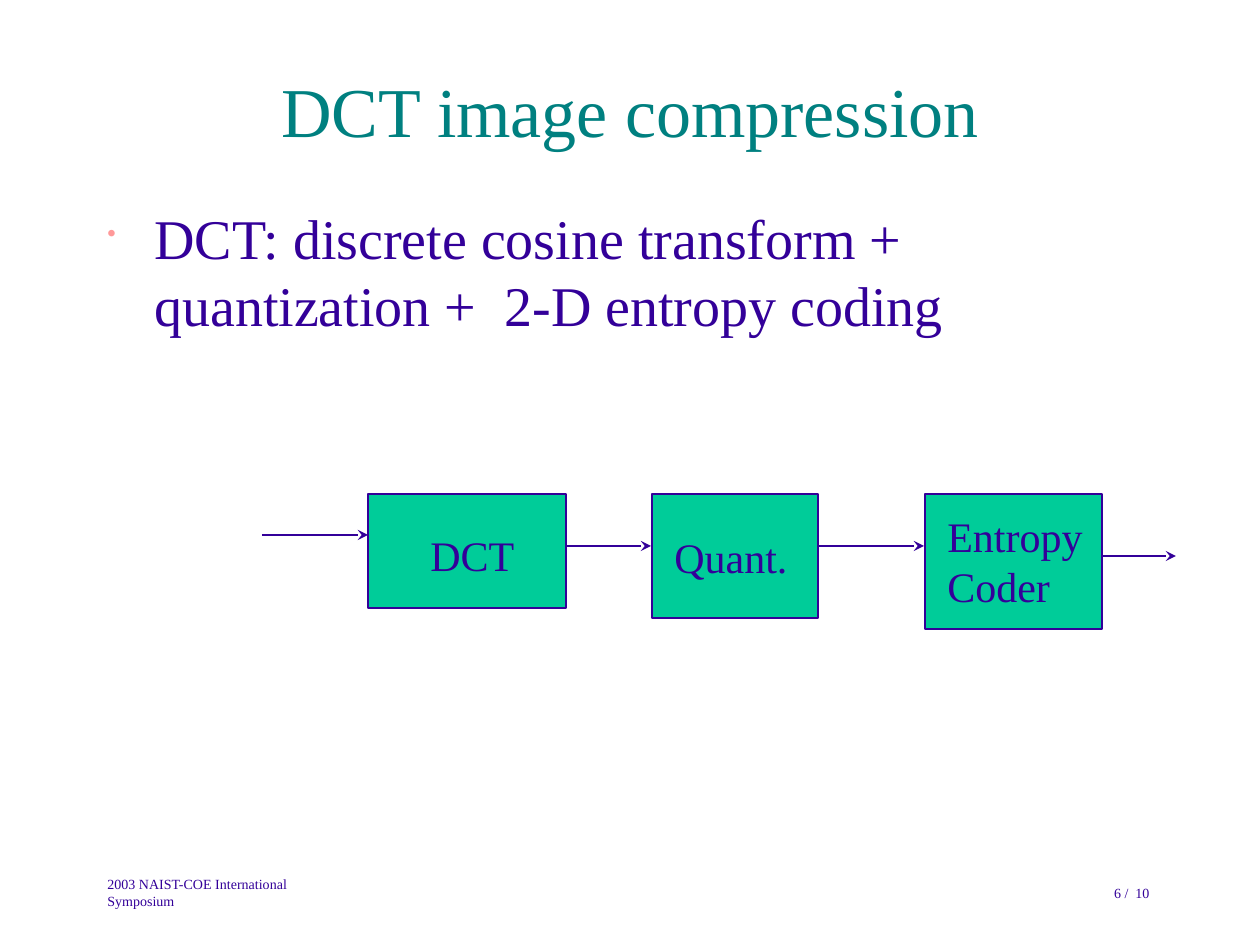
from lxml import etree
from pptx import Presentation
from pptx.dml.color import RGBColor
from pptx.enum.shapes import MSO_CONNECTOR, MSO_SHAPE
from pptx.enum.text import MSO_ANCHOR, PP_ALIGN
from pptx.oxml.ns import qn
from pptx.util import Emu, Pt

EMU_PER_PX = 914400 / 126
RECTANGLE = MSO_SHAPE.RECTANGLE
STRAIGHT = MSO_CONNECTOR.STRAIGHT
TOP, MIDDLE, BOTTOM = MSO_ANCHOR.TOP, MSO_ANCHOR.MIDDLE, MSO_ANCHOR.BOTTOM
LEFT, CENTER, RIGHT = PP_ALIGN.LEFT, PP_ALIGN.CENTER, PP_ALIGN.RIGHT
INDIGO, TEAL, GREEN, PINK = "330099", "008080", "00CC99", "FF9999"


def px(*lengths):
    return [Emu(round(length * EMU_PER_PX)) for length in lengths]


def rgb(color):
    return RGBColor.from_string(color)


presentation = Presentation()
presentation.slide_width, presentation.slide_height = px(1260, 945)
slide = presentation.slides.add_slide(presentation.slide_layouts[6])

# Boxes of the processing chain: left, width, height
for left, width, height in [(368, 198, 114), (652, 166, 124), (925, 177, 135)]:
    stage = slide.shapes.add_shape(RECTANGLE, *px(left, 494, width, height))
    stage.shadow.inherit = False
    stage.fill.solid()
    stage.fill.fore_color.rgb = rgb(GREEN)
    stage.line.color.rgb = rgb(INDIGO)
    stage.line.width = Pt(1)

# Text: words, place in px, size, colour, alignment, anchor, wrap
body_text = "DCT: discrete cosine transform + quantization +  2-D entropy coding"
texts = [
    ("2003 NAIST-COE International Symposium", (95, 861, 262, 63), 8, INDIGO, LEFT, MIDDLE, False),
    ("6 /  10", (900, 861, 262, 63), 8, INDIGO, RIGHT, MIDDLE, False),
    ("DCT image compression", (95, 0, 1070, 158), 40, TEAL, CENTER, BOTTOM, True),
    (body_text, (95, 197, 1070, 644), 32, INDIGO, LEFT, TOP, True),
    ("DCT", (418, 523, 110, 63), 24, INDIGO, LEFT, TOP, False),
    ("Quant.", (662, 525, 138, 113), 24, INDIGO, LEFT, TOP, True),
    ("Entropy\nCoder", (935, 504, 161, 113), 24, INDIGO, LEFT, TOP, False),
]
for words, place, size, color, alignment, anchor, wrap in texts:
    frame = slide.shapes.add_textbox(*px(*place)).text_frame
    frame.word_wrap = wrap
    frame.vertical_anchor = anchor
    frame.text = words
    for paragraph in frame.paragraphs:
        paragraph.alignment = alignment
        if words == body_text:
            properties = paragraph._p.get_or_add_pPr()
            indent, = px(47)
            properties.set("marL", str(indent))
            properties.set("indent", str(-indent))
            bullet_color = etree.SubElement(properties, qn("a:buClr"))
            etree.SubElement(bullet_color, qn("a:srgbClr"), val=PINK)
            etree.SubElement(properties, qn("a:buSzPct"), val="45000")
            etree.SubElement(properties, qn("a:buChar"), char="•")
        font_values = {"name": "Times New Roman", "size": Pt(size)}
        for name, value in font_values.items():
            setattr(paragraph.font, name, value)
        paragraph.font.color.rgb = rgb(color)

# Signal arrows: start, end, height on the slide
for start, end, y in [(262, 368, 535), (567, 651, 546), (819, 924, 546), (1102, 1176, 556)]:
    arrow = slide.shapes.add_connector(STRAIGHT, *px(start, y, end, y))
    arrow.line.color.rgb = rgb(INDIGO)
    arrow.line.width = Pt(1)
    etree.SubElement(arrow.line._get_or_add_ln(), qn("a:tailEnd"), type="stealth")
    etree.SubElement(arrow._element.spPr, qn("a:effectLst"))

presentation.save("out.pptx")
